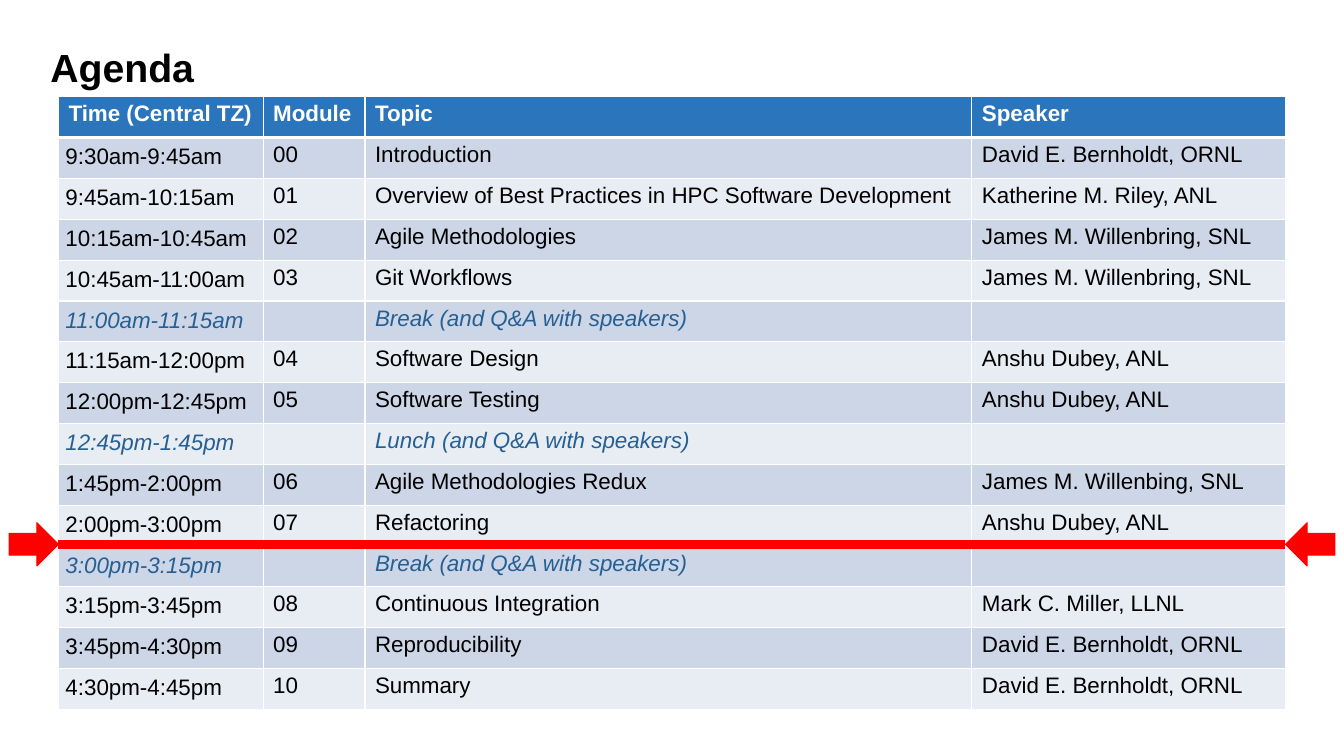
import pptx
import pptx.util
import pptx.dml.color
import pptx.enum.shapes
import pptx.enum.text
import pptx.oxml
import pptx.oxml.ns
from dataclasses import dataclass

Inches = pptx.util.Inches
Pt = pptx.util.Pt


@dataclass(frozen=True)
class Theme:
    font: str = "Arial"
    title_size: int = 28
    table_size: int = 16
    text: str = "000000"
    header_text: str = "FFFFFF"
    pause_text: str = "266093"
    header_fill: str = "2A75BB"
    bands: tuple = ("CDD6E7", "E8ECF3")
    border: str = "FFFFFF"
    marker: str = "FF0000"


def rgb(value):
    return pptx.dml.color.RGBColor.from_string(value)


class AgendaSlide:
    def __init__(self, presentation, theme):
        self.theme = theme
        self.slide = presentation.slides.add_slide(presentation.slide_layouts[5])

    def style(self, paragraph, size, color, bold=False, italic=False):
        font = paragraph.font
        font.name = self.theme.font
        font.size = Pt(size)
        font.color.rgb = rgb(color)
        font.bold = bold
        font.italic = italic

    def title(self, text, left, top, width, height):
        shape = self.slide.shapes.title
        shape.left, shape.top = Inches(left), Inches(top)
        shape.width, shape.height = Inches(width), Inches(height)
        frame = shape.text_frame
        frame.text = text
        frame.word_wrap = True
        frame.vertical_anchor = pptx.enum.text.MSO_ANCHOR.TOP
        paragraph = frame.paragraphs[0]
        paragraph.alignment = pptx.enum.text.PP_ALIGN.LEFT
        paragraph.line_spacing = 0.85
        self.style(paragraph, self.theme.title_size, self.theme.text, bold=True)

    def borders(self, cell, bottom, top):
        properties = cell._tc.get_or_add_tcPr()
        for side, points in (("L", 1), ("R", 1), ("T", top), ("B", bottom)):
            properties.append(pptx.oxml.parse_xml(
                f'<a:ln{side} {pptx.oxml.ns.nsdecls("a")} w="{Pt(points)}"><a:solidFill>'
                f'<a:srgbClr val="{self.theme.border}"/></a:solidFill></a:ln{side}>'))

    def cell(self, cell, text, fill, color, bold=False, italic=False, top=1, bottom=1):
        self.borders(cell, bottom, top)
        cell.fill.solid()
        cell.fill.fore_color.rgb = rgb(fill)
        cell.text = text
        self.style(cell.text_frame.paragraphs[0], self.theme.table_size, color, bold, italic)

    def table(self, header, sessions, left, top, widths, height):
        theme = self.theme
        row_count = len(sessions) + 1
        table = self.slide.shapes.add_table(
            row_count, len(header), Inches(left), Inches(top),
            Inches(sum(widths)), Inches(height)).table
        for column, width in zip(table.columns, widths):
            column.width = Inches(width)
        for row in table.rows:
            row.height = Inches(height / row_count)
        for cell, text in zip(table.rows[0].cells, header):
            self.cell(cell, text, theme.header_fill, theme.header_text, bold=True, bottom=3)
        for index, session in enumerate(sessions):
            cells = table.rows[index + 1].cells
            is_pause = not session[1]
            color = theme.pause_text if is_pause else theme.text
            for cell, text in zip(cells, session):
                self.cell(cell, text, theme.bands[index % 2], color,
                          italic=is_pause, top=1 if index else 3)
            time_cell = cells[0]
            time_cell.margin_left = time_cell.margin_right = Inches(0.07)
            time_cell.margin_top = time_cell.margin_bottom = Inches(0.07)

    def marker(self, left, right, y, arrow_width, arrow_height):
        """Line across the table with an arrow pointing at each end."""
        shapes = self.slide.shapes.add_group_shape().shapes
        color = rgb(self.theme.marker)
        line = shapes.add_connector(pptx.enum.shapes.MSO_CONNECTOR.STRAIGHT,
                                    Inches(left), Inches(y), Inches(right), Inches(y))
        line.line.color.rgb = color
        line.line.width = Pt(6)
        line._element.spPr.append(
            pptx.oxml.parse_xml(f'<a:effectLst {pptx.oxml.ns.nsdecls("a")}/>'))
        for arrow_left, rotation in ((left - arrow_width, 0), (right, 180)):
            arrow = shapes.add_shape(
                pptx.enum.shapes.MSO_SHAPE.RIGHT_ARROW, Inches(arrow_left),
                Inches(y - arrow_height / 2), Inches(arrow_width), Inches(arrow_height))
            arrow.rotation = rotation
            arrow.shadow.inherit = False
            arrow.fill.solid()
            arrow.fill.fore_color.rgb = color
            arrow.line.color.rgb = color
            arrow.line.width = Pt(0.75)


HEADER = ("Time (Central TZ)", "Module", "Topic", "Speaker")
BREAK = "Break (and Q&A with speakers)"
# Sessions without a module number are pauses
SESSIONS = (
    ("9:30am-9:45am", "00", "Introduction", "David E. Bernholdt, ORNL"),
    ("9:45am-10:15am", "01", "Overview of Best Practices in HPC Software Development",
     "Katherine M. Riley, ANL"),
    ("10:15am-10:45am", "02", "Agile Methodologies", "James M. Willenbring, SNL"),
    ("10:45am-11:00am", "03", "Git Workflows", "James M. Willenbring, SNL"),
    ("11:00am-11:15am", "", BREAK, ""),
    ("11:15am-12:00pm", "04", "Software Design", "Anshu Dubey, ANL"),
    ("12:00pm-12:45pm", "05", "Software Testing", "Anshu Dubey, ANL"),
    ("12:45pm-1:45pm", "", "Lunch (and Q&A with speakers)", ""),
    ("1:45pm-2:00pm", "06", "Agile Methodologies Redux", "James M. Willenbing, SNL"),
    ("2:00pm-3:00pm", "07", "Refactoring", "Anshu Dubey, ANL"),
    ("3:00pm-3:15pm", "", BREAK, ""),
    ("3:15pm-3:45pm", "08", "Continuous Integration", "Mark C. Miller, LLNL"),
    ("3:45pm-4:30pm", "09", "Reproducibility", "David E. Bernholdt, ORNL"),
    ("4:30pm-4:45pm", "10", "Summary", "David E. Bernholdt, ORNL"),
)


def main():
    presentation = pptx.Presentation()
    presentation.slide_width = Inches(13.33)
    presentation.slide_height = Inches(7.5)
    agenda = AgendaSlide(presentation, Theme())

    # Title and timetable
    agenda.title("Agenda", 0.4, 0.45, 12.44, 1)
    table_left, widths = 0.58, (2.03, 1.01, 6.02, 3.11)
    agenda.table(HEADER, SESSIONS, table_left, 0.96, widths, 6.08)

    # Current position in the day
    agenda.marker(table_left, table_left + sum(widths), 5.4, 0.49, 0.43)

    presentation.save("out.pptx")


if __name__ == "__main__":
    main()
